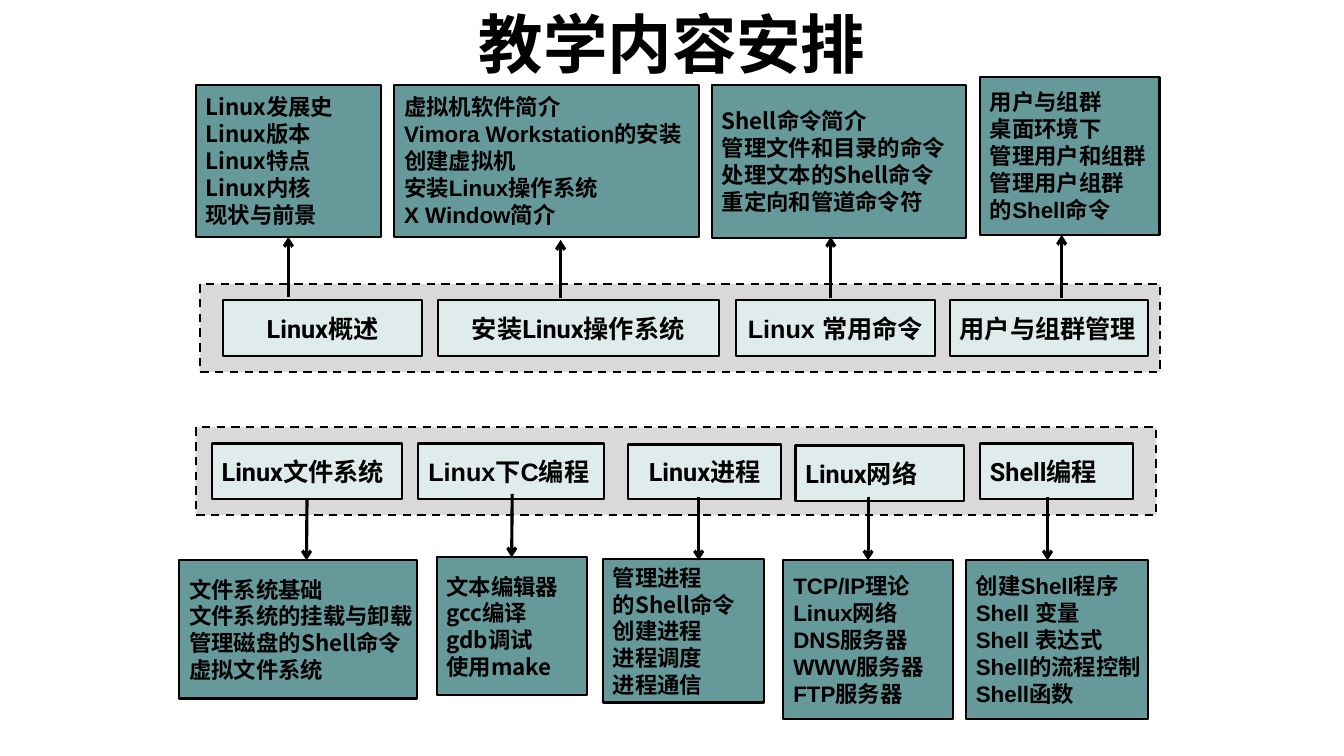
from dataclasses import dataclass

from lxml import etree
from pptx import Presentation
from pptx import util as u
from pptx.dml.color import RGBColor
from pptx.enum import dml, shapes, text
from pptx.oxml import ns

COLOURS = {"ink": "000000", "band": "D9D9D9", "label": "E0EBEB", "topic": "669999"}
SANS, ROBOTO, NOTO = "Arial", "Roboto", "Noto Sans CJK SC"
LEFT, CENTER = text.PP_ALIGN.LEFT, text.PP_ALIGN.CENTER
TOP_SIDE, BOTTOM_SIDE = 0, 2
LINE_RATIO = 1.2


@dataclass(frozen=True)
class Box:
    left: float
    top: float
    width: float
    height: float
    lines: tuple[str, ...] = ()
    font: str = ROBOTO
    align: text.PP_ALIGN = LEFT


@dataclass(frozen=True)
class Arrow:
    x: float
    start: float
    end: float
    joins_label: bool = False
    joins_topic: bool = False


@dataclass(frozen=True)
class Chapter:
    label: Box
    topic: Box
    arrow: Arrow


BANDS = [Box(1.98, 2.82, 9.53, 0.87), Box(1.94, 4.24, 9.53, 0.87)]
TITLE = Box(2.25, -0.05, 8.83, 0.94, ("教学内容安排",), SANS, CENTER)

UPPER = [
    Chapter(
        Box(2.21, 2.98, 1.98, 0.55, ("Linux概述",), ROBOTO, CENTER),
        Box(1.94, 0.84, 1.84, 1.51,
            ("Linux发展史", "Linux版本", "Linux特点", "Linux内核", "现状与前景"), NOTO),
        Arrow(2.86, 2.95, 2.35, joins_topic=True)),
    Chapter(
        Box(4.34, 2.98, 2.79, 0.55, ("安装Linux操作系统",), ROBOTO, CENTER),
        Box(3.91, 0.84, 3.02, 1.51,
            ("虚拟机软件简介", "Vimora Workstation的安装", "创建虚拟机",
             "安装Linux操作系统", "X Window简介"), SANS),
        Arrow(5.56, 2.96, 2.38)),
    Chapter(
        Box(7.3, 2.98, 1.97, 0.55, ("Linux 常用命令",), SANS, CENTER),
        Box(7.06, 0.84, 2.52, 1.52,
            ("Shell命令简介", "管理文件和目录的命令", "处理文本的Shell命令",
             "重定向和管道命令符"), NOTO),
        Arrow(8.24, 2.96, 2.35)),
    Chapter(
        Box(9.42, 2.98, 1.97, 0.55, ("用户与组群管理",)),
        Box(9.72, 0.76, 1.78, 1.57,
            ("用户与组群", "桌面环境下", "管理用户和组群", "管理用户组群",
             "的Shell命令"), SANS),
        Arrow(10.53, 2.96, 2.33)),
]

LOWER = [
    Chapter(
        Box(2.1, 4.4, 1.89, 0.55, ("Linux文件系统",)),
        Box(1.78, 5.56, 2.36, 1.37,
            ("文件系统基础", "文件系统的挂载与卸载", "管理磁盘的Shell命令",
             "虚拟文件系统"), NOTO),
        Arrow(3.04, 4.93, 5.56, joins_label=True)),
    Chapter(
        Box(4.15, 4.4, 1.84, 0.55, ("Linux下C编程",), SANS),
        Box(4.33, 5.53, 1.49, 1.37,
            ("文本编辑器", "gcc编译", "gdb调试", "使用make"), NOTO),
        Arrow(5.08, 4.9, 5.53, joins_topic=True)),
    Chapter(
        Box(6.23, 4.41, 1.52, 0.54, ("Linux进程",), ROBOTO, CENTER),
        Box(5.98, 5.55, 1.6, 1.42,
            ("管理进程", "的Shell命令", "创建进程", "进程调度", "进程通信"), NOTO),
        Arrow(6.93, 4.93, 5.56)),
    Chapter(
        Box(7.89, 4.42, 1.67, 0.55, ("Linux网络",)),
        Box(7.77, 5.56, 1.68, 1.57,
            ("TCP/IP理论", "Linux网络", "DNS服务器", "WWW服务器", "FTP服务器"), SANS),
        Arrow(8.61, 4.93, 5.56, joins_topic=True)),
    Chapter(
        Box(9.72, 4.4, 1.52, 0.55, ("Shell编程",)),
        Box(9.58, 5.56, 1.81, 1.57,
            ("创建Shell程序", "Shell 变量", "Shell 表达式", "Shell的流程控制",
             "Shell函数"), SANS),
        Arrow(10.39, 4.93, 5.56)),
]


def colour(name: str) -> RGBColor:
    return RGBColor.from_string(COLOURS[name])


def frame(box: Box) -> tuple:
    return tuple(u.Inches(n) for n in (box.left, box.top, box.width, box.height))


def write(shape, box: Box, size: int, wrap: bool = False) -> None:
    body = shape.text_frame
    body.word_wrap = wrap
    body.vertical_anchor = text.MSO_ANCHOR.MIDDLE
    for index, line in enumerate(box.lines):
        para = body.paragraphs[0] if index == 0 else body.add_paragraph()
        para.alignment = box.align
        para.line_spacing = u.Pt(size * LINE_RATIO)
        span = para.add_run()
        span.text = line
        span.font.size = u.Pt(size)
        span.font.bold = True
        span.font.name = box.font
        span.font.color.rgb = colour("ink")
        east_asian = etree.SubElement(span.font._element, ns.qn("a:ea"))
        east_asian.set("typeface", NOTO)


def draw_box(page, box: Box, fill: str, size: int = 18, dashed: bool = False):
    shape = page.shapes.add_shape(shapes.MSO_SHAPE.RECTANGLE, *frame(box))
    shape.shadow.inherit = False
    shape.fill.solid()
    shape.fill.fore_color.rgb = colour(fill)
    shape.line.color.rgb = colour("ink")
    shape.line.width = u.Pt(1.5)
    if dashed:
        shape.line.dash_style = dml.MSO_LINE.DASH
    write(shape, box, size)
    return shape


def draw_chapter(page, chapter: Chapter, label_side: int, topic_side: int) -> None:
    label = draw_box(page, chapter.label, "label")
    topic = draw_box(page, chapter.topic, "topic", 16)
    arrow = chapter.arrow
    x = u.Inches(arrow.x)
    line = page.shapes.add_connector(
        shapes.MSO_CONNECTOR.STRAIGHT, x, u.Inches(arrow.start), x, u.Inches(arrow.end))
    if arrow.joins_label:
        line.begin_connect(label, label_side)
    if arrow.joins_topic:
        line.end_connect(topic, topic_side)
    line.line.color.rgb = colour("ink")
    line.line.width = u.Pt(2.25)
    outline = line.line._get_or_add_ln()
    etree.SubElement(outline, ns.qn("a:tailEnd")).set("type", "arrow")
    etree.SubElement(line._element.spPr, ns.qn("a:effectLst"))


def main() -> None:
    deck = Presentation()
    deck.slide_width, deck.slide_height = u.Inches(13.33), u.Inches(7.5)
    page = deck.slides.add_slide(deck.slide_layouts[6])
    for band in BANDS:
        draw_box(page, band, "band", dashed=True)
    write(page.shapes.add_textbox(*frame(TITLE)), TITLE, 46, wrap=True)
    for chapter in UPPER:
        draw_chapter(page, chapter, TOP_SIDE, BOTTOM_SIDE)
    for chapter in LOWER:
        draw_chapter(page, chapter, BOTTOM_SIDE, TOP_SIDE)
    deck.save("out.pptx")


if __name__ == "__main__":
    main()
